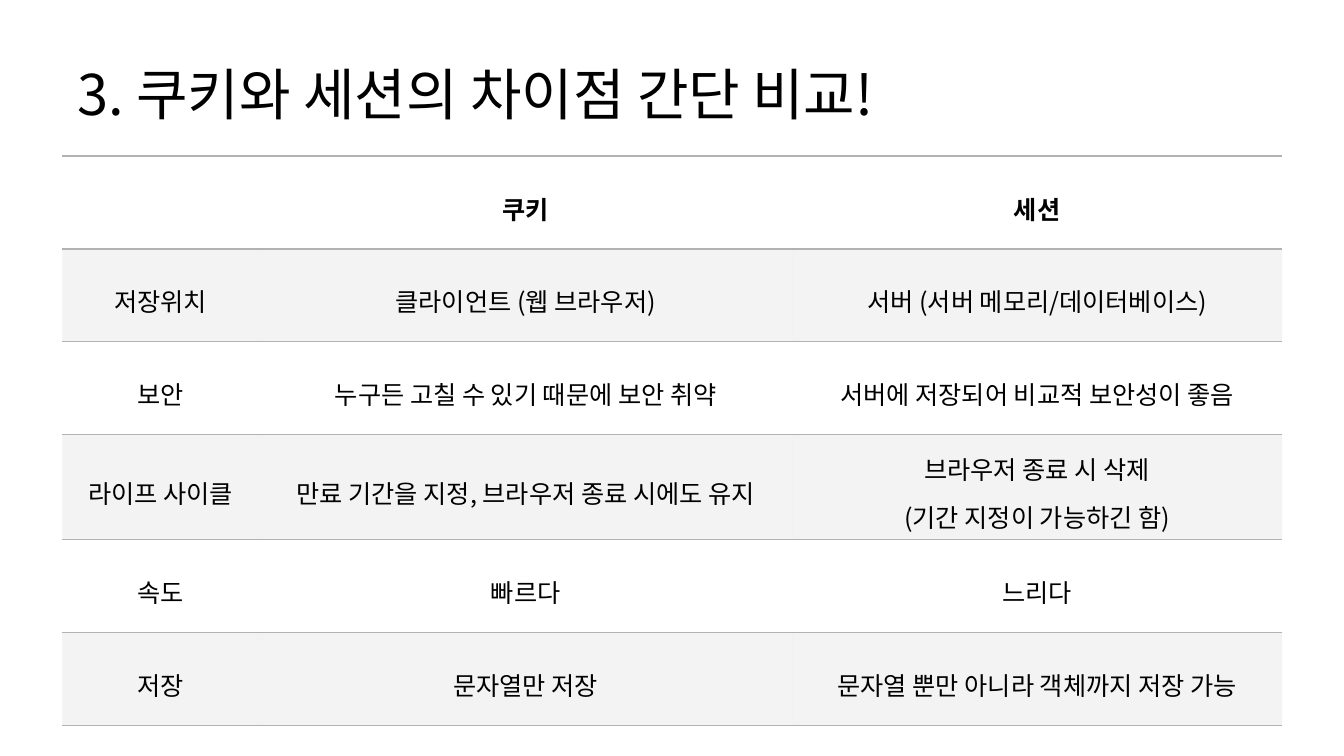
from lxml import etree
from pptx import Presentation
from pptx.dml.color import RGBColor
from pptx.enum.text import MSO_ANCHOR, PP_ALIGN
from pptx.oxml.ns import qn
from pptx.util import Pt

MIDDLE = MSO_ANCHOR.MIDDLE
LEFT, CENTER = PP_ALIGN.LEFT, PP_ALIGN.CENTER
TITLE_ONLY = 5
FONT = "Noto Sans CJK KR"
COLORS = {"text": "000000", "rule": "B2B2B2", "band": "C5C5C5"}
BAND_OPACITY = 20
HEADER_RULE, BODY_RULE = 1.79, 0.79

COLUMN_WIDTHS = (140.4, 380.9, 349.9)
ROW_HEIGHT = 66.3
COMPARISON = (
    ("", "쿠키", "세션"),
    ("저장위치", "클라이언트 (웹 브라우저)", "서버 (서버 메모리/데이터베이스)"),
    ("보안", "누구든 고칠 수 있기 때문에 보안 취약", "서버에 저장되어 비교적 보안성이 좋음"),
    ("라이프 사이클", "만료 기간을 지정, 브라우저 종료 시에도 유지",
     "브라우저 종료 시 삭제\n(기간 지정이 가능하긴 함)"),
    ("속도", "빠르다", "느리다"),
    ("저장", "문자열만 저장", "문자열 뿐만 아니라 객체까지 저장 가능"),
)


def write_text(frame, text, size, align, bold=False, spacing=None):
    frame.text = text
    for para in frame.paragraphs:
        para.alignment = align
        para.line_spacing = spacing
        font = para.font
        font.name, font.size, font.bold = FONT, Pt(size), bold
        font.color.rgb = RGBColor.from_string(COLORS["text"])
        # Hangul takes its typeface from the East Asian slot
        for properties in para._p.iter(qn("a:defRPr")):
            etree.SubElement(properties, qn("a:ea"), typeface=FONT)


def add_title(page, text):
    title = page.shapes.title
    title.left, title.top, title.width, title.height = Pt(48), Pt(21.6), Pt(864), Pt(90)
    title.text_frame.vertical_anchor = MIDDLE
    write_text(title.text_frame, text, 40, LEFT)


def fill_cell(cell, banded):
    if not banded:
        cell.fill.background()
        return
    cell.fill.solid()
    cell.fill.fore_color.rgb = RGBColor.from_string(COLORS["band"])
    for color in cell._tc.tcPr.iter(qn("a:srgbClr")):
        etree.SubElement(color, qn("a:alpha"), val=str(BAND_OPACITY * 1000))


def set_borders(cell, top, bottom):
    """Draw rules above and below the cell and none at its sides."""
    widths = {"a:lnL": 0, "a:lnR": 0, "a:lnT": top, "a:lnB": bottom}
    for position, (tag, width) in enumerate(widths.items()):
        line = etree.Element(qn(tag), w=str(int(Pt(width))))
        if width:
            fill = etree.SubElement(line, qn("a:solidFill"))
            etree.SubElement(fill, qn("a:srgbClr"), val=COLORS["rule"])
        else:
            etree.SubElement(line, qn("a:noFill"))
        cell._tc.tcPr.insert(position, line)


def add_comparison(page, rows):
    frame = page.shapes.add_table(
        len(rows), len(COLUMN_WIDTHS), Pt(44.6), Pt(111.6),
        Pt(sum(COLUMN_WIDTHS)), Pt(ROW_HEIGHT * len(rows)))
    table = frame.table
    table.first_row = table.horz_banding = False
    for column, width in zip(table.columns, COLUMN_WIDTHS):
        column.width = Pt(width)
    for index, texts in enumerate(rows):
        table.rows[index].height = Pt(ROW_HEIGHT)
        is_header = index == 0
        top = HEADER_RULE if index <= 1 else BODY_RULE
        bottom = HEADER_RULE if is_header else BODY_RULE
        for cell, text in zip(table.rows[index].cells, texts):
            cell.vertical_anchor = MIDDLE
            write_text(cell.text_frame, text, 18, CENTER, is_header, 1.3)
            fill_cell(cell, banded=index % 2 == 1)
            set_borders(cell, top, bottom)


def main():
    deck = Presentation()
    deck.slide_width, deck.slide_height = Pt(960), Pt(540)
    page = deck.slides.add_slide(deck.slide_layouts[TITLE_ONLY])
    add_title(page, "3. 쿠키와 세션의 차이점 간단 비교!")
    add_comparison(page, COMPARISON)
    deck.save("out.pptx")


if __name__ == "__main__":
    main()
